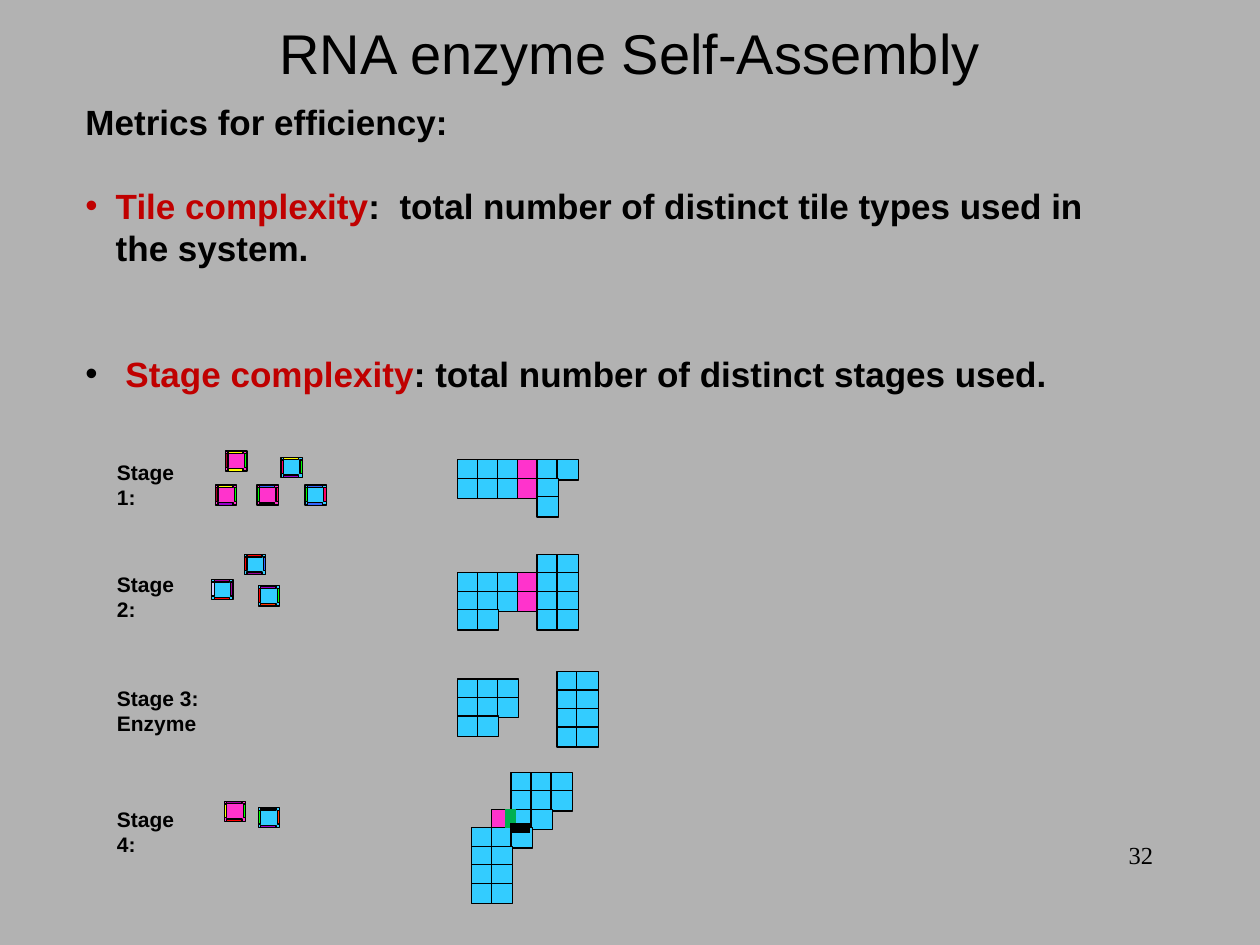
from lxml.etree import SubElement
from pptx import Presentation
from pptx.dml.color import RGBColor
from pptx.enum.shapes import MSO_CONNECTOR, MSO_SHAPE
from pptx.enum.text import MSO_ANCHOR, PP_ALIGN
from pptx.oxml.ns import qn
from pptx.util import Inches, Pt

BLACK = RGBColor(0x00, 0x00, 0x00)
GRAY = RGBColor(0xB2, 0xB2, 0xB2)
DARK_RED = RGBColor(0xC0, 0x00, 0x00)
SKY = RGBColor(0x33, 0xCC, 0xFF)
PINK = RGBColor(0xFF, 0x33, 0xCC)
LIME = RGBColor(0x00, 0xFF, 0x00)
ROSE = RGBColor(0xFF, 0x00, 0x66)
YELLOW = RGBColor(0xFF, 0xFF, 0x00)
VIOLET = RGBColor(0x99, 0x00, 0xCC)
PURPLE = RGBColor(0x99, 0x00, 0x99)
BLUE = RGBColor(0x33, 0x66, 0xFF)
MAROON = RGBColor(0xA5, 0x00, 0x21)
RED = RGBColor(0xFF, 0x00, 0x00)
ORANGE = RGBColor(0xFF, 0x33, 0x00)
LAVENDER = RGBColor(0xCC, 0xCC, 0xFF)
GREEN = RGBColor(0x00, 0xB0, 0x50)

TILE_WIDTH, TILE_HEIGHT = 0.17, 0.16
COLUMN_PITCH, ROW_PITCH = 0.95 / 6, 0.88 / 6
TILE_FILLS = {"B": SKY, "P": PINK}

STAGE_LABELS = [
    ("Stage 1:", 3.6, 0.82),
    ("Stage 2:", 4.49, 0.82),
    ("Stage 3:  Enzyme", 5.39, 1.52),
    ("Stage 4:", 6.35, 0.82),
]

# left, top, fill, then glues: right, left, top, bottom
LOOSE_TILES = [
    (2.23, 3.63, SKY, LIME, ROSE, YELLOW, VIOLET),
    (2.42, 3.85, SKY, ROSE, LIME, BLUE, BLUE),
    (1.71, 3.85, PINK, LIME, MAROON, YELLOW, VIOLET),
    (2.04, 3.85, PINK, ROSE, LIME, BLUE, BLACK),
    (1.79, 3.58, PINK, LIME, MAROON, YELLOW, YELLOW),
    (1.94, 4.4, SKY, BLUE, RED, RED, PURPLE),
    (2.05, 4.65, SKY, LIME, RED, VIOLET, ORANGE),
    (1.68, 4.6, SKY, PURPLE, LAVENDER, PURPLE, RED),
    (1.78, 6.36, PINK, LIME, YELLOW, PURPLE, RED),
    (2.05, 6.41, SKY, ORANGE, LIME, BLACK, VIOLET),
]

ASSEMBLIES = [
    (3.63, 3.65, ["BBBPBB", "BBBPB", "....B"]),
    (3.63, 4.4, ["....BB", "BBBPBB", "BBBPBB", "BB..BB"]),
    (3.63, 5.39, ["BBB", "BBB", "BB"]),
    (4.42, 5.33, ["BB", "BB", "BB", "BB"]),
    (3.74, 6.13, ["..BBB", "..BBB", ".PBB", "BBB", "BB", "BB", "BB"]),
]


class SlideBuilder:
    font = "Arial"
    outline = Pt(0.75)

    def __init__(self, slide):
        self.slide = slide
        slide.background.fill.solid()
        slide.background.fill.fore_color.rgb = GRAY

    def style(self, font, size, bold=False, color=BLACK, name=None):
        font.name = name or self.font
        font.size = Pt(size)
        font.bold = bold
        font.color.rgb = color

    def text_frame(self, left, top, width, height):
        shape = self.slide.shapes.add_textbox(
            Inches(left), Inches(top), Inches(width), Inches(height))
        shape.text_frame.word_wrap = True
        return shape.text_frame

    def label(self, text, left, top, width, height, size, bold=False,
              align=PP_ALIGN.LEFT, anchor=MSO_ANCHOR.TOP, name=None):
        text_frame = self.text_frame(left, top, width, height)
        text_frame.text = text
        text_frame.vertical_anchor = anchor
        paragraph = text_frame.paragraphs[0]
        paragraph.alignment = align
        self.style(paragraph.runs[0].font, size, bold, name=name)
        return paragraph

    def metric(self, text_frame, parts, space_before):
        paragraph = text_frame.add_paragraph()
        properties = paragraph._p.get_or_add_pPr()
        properties.set("marL", str(Inches(0.24)))
        properties.set("indent", str(-Inches(0.24)))
        SubElement(properties, qn("a:buFont"), typeface=self.font)
        SubElement(properties, qn("a:buChar"), char="•")
        paragraph.line_spacing = Pt(24)
        paragraph.space_before = Pt(space_before)
        for text, color in parts:
            run = paragraph.add_run()
            run.text = text
            self.style(run.font, 20, True, color)

    def rectangle(self, left, top, width, height, fill):
        shape = self.slide.shapes.add_shape(
            MSO_SHAPE.RECTANGLE, Inches(left), Inches(top), Inches(width), Inches(height))
        shape.shadow.inherit = False
        shape.fill.solid()
        shape.fill.fore_color.rgb = fill
        shape.line.color.rgb = BLACK
        shape.line.width = self.outline

    def tile(self, left, top, fill):
        self.rectangle(left, top, TILE_WIDTH, TILE_HEIGHT, fill)

    def glued_tile(self, left, top, fill, right_glue, left_glue, top_glue, bottom_glue):
        self.tile(left, top, fill)
        self.rectangle(left + 0.15, top + 0.02, 0.02, 0.11, right_glue)
        self.rectangle(left, top + 0.02, 0.02, 0.11, left_glue)
        self.rectangle(left + 0.02, top, 0.12, 0.02, top_glue)
        self.rectangle(left + 0.02, top + 0.14, 0.12, 0.02, bottom_glue)

    def assembly(self, left, top, rows):
        for row, cells in enumerate(rows):
            for column, cell in enumerate(cells):
                if cell in TILE_FILLS:
                    self.tile(left + column * COLUMN_PITCH, top + row * ROW_PITCH,
                              TILE_FILLS[cell])

    def line(self, start, end, color):
        connector = self.slide.shapes.add_connector(
            MSO_CONNECTOR.STRAIGHT, *(Inches(value) for value in start + end))
        SubElement(connector._element.spPr, qn("a:effectLst"))
        connector.line.color.rgb = color
        connector.line.width = Pt(6)


def main():
    presentation = Presentation()
    presentation.slide_width = Inches(10)
    presentation.slide_height = Inches(7.5)
    builder = SlideBuilder(presentation.slides.add_slide(presentation.slide_layouts[6]))

    builder.label("32", 7.17, 6.62, 2.08, 0.5, 14, align=PP_ALIGN.RIGHT,
                  name="Times New Roman")
    builder.label("RNA enzyme Self-Assembly", 0, 0, 10, 0.83, 32,
                  align=PP_ALIGN.CENTER, anchor=MSO_ANCHOR.MIDDLE)

    text_frame = builder.text_frame(0.58, 0.75, 8.25, 2.46)
    text_frame.text = "Metrics for efficiency:"
    heading = text_frame.paragraphs[0]
    heading.line_spacing = Pt(24)
    builder.style(heading.runs[0].font, 20, True)
    builder.metric(text_frame, [
        ("Tile complexity", DARK_RED),
        (":  total number of distinct tile types used in the system.", BLACK)], 24)
    builder.metric(text_frame, [
        (" ", BLACK), ("Stage complexity", DARK_RED),
        (": total number of distinct stages used.", BLACK)], 48)

    for text, top, width in STAGE_LABELS:
        paragraph = builder.label(text, 0.83, top, width, 0.3, 12, True)
        paragraph.line_spacing = Pt(14.3)
    for loose_tile in LOOSE_TILES:
        builder.glued_tile(*loose_tile)
    for assembly in ASSEMBLIES:
        builder.assembly(*assembly)

    builder.line((4.05, 6.42), (4.05, 6.57), GREEN)
    builder.line((4.05, 6.57), (4.21, 6.57), BLACK)

    presentation.save("out.pptx")


if __name__ == "__main__":
    main()
